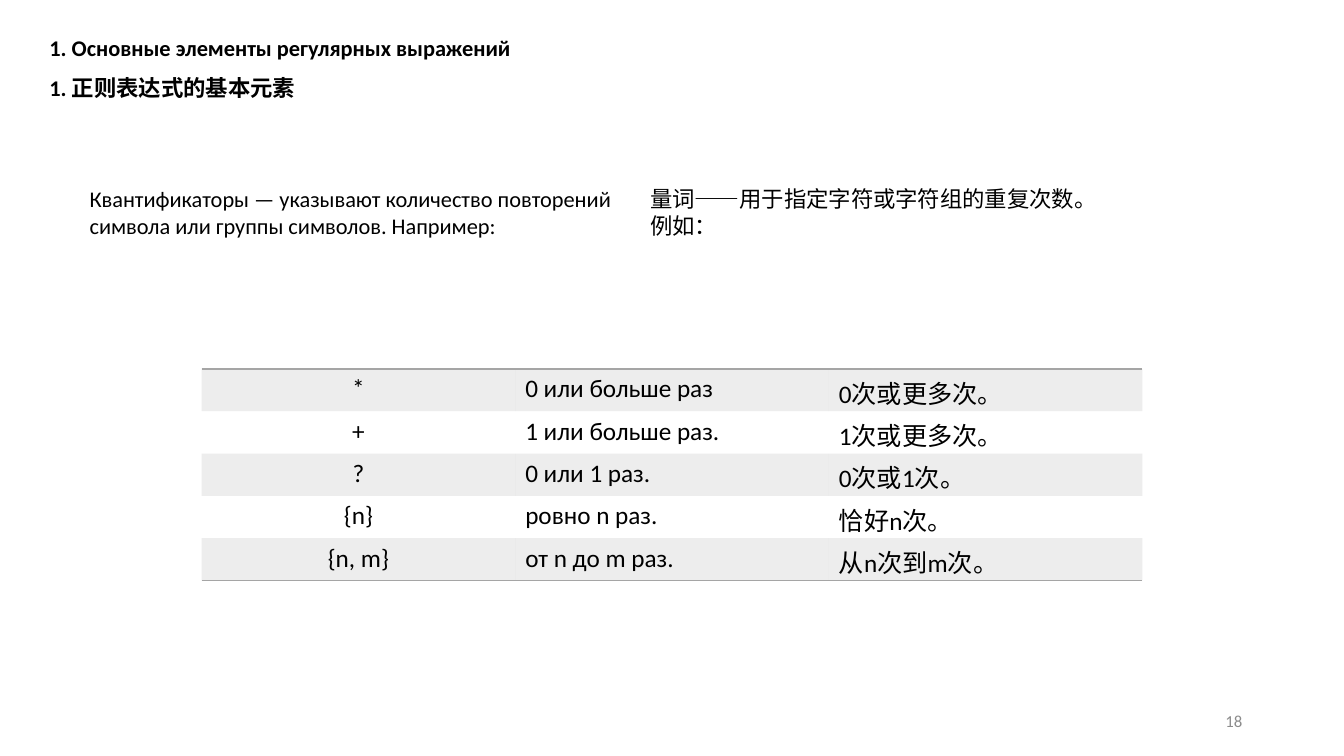
from lxml.etree import SubElement
from pptx import Presentation
from pptx.dml.color import RGBColor
from pptx.enum.text import MSO_ANCHOR, MSO_AUTO_SIZE, PP_ALIGN
from pptx.oxml import parse_xml
from pptx.oxml.ns import nsdecls, qn
from pptx.util import Inches, Pt

HUES = {"ink": "000000", "band": "A5A5A5", "page": "8C8C8C"}
PLAIN = "{2D5ABB26-0587-4C30-8999-92F81FD0307C}"  # table style without grid


class Deck:
    font = "Calibri"

    def __init__(self, wide, high):
        self.prs = Presentation()
        self.prs.slide_width = Inches(wide)
        self.prs.slide_height = Inches(high)
        self.slide = self.prs.slides.add_slide(self.prs.slide_layouts[5])

    def fill_in(self, frame, lines, size, hue="ink", bold=False,
                align=PP_ALIGN.LEFT, after=0):
        for i, line in enumerate(lines):
            para = frame.add_paragraph() if i else frame.paragraphs[0]
            para.alignment = align
            para.space_after = Pt(after)
            run = para.add_run()
            run.text = line
            run.font.name = self.font
            run.font.size = Pt(size)
            run.font.bold = bold
            run.font.color.rgb = RGBColor.from_string(HUES[hue])

    def title(self, box, lines, **style):
        head = self.slide.shapes.title
        head.left, head.top, head.width, head.height = map(Inches, box)
        frame = head.text_frame
        frame.auto_size = MSO_AUTO_SIZE.NONE
        frame.vertical_anchor = MSO_ANCHOR.TOP
        self.fill_in(frame, lines, **style)

    def text(self, box, lines, anchor=MSO_ANCHOR.TOP, **style):
        frame = self.slide.shapes.add_textbox(*map(Inches, box)).text_frame
        frame.word_wrap = True
        frame.vertical_anchor = anchor
        self.fill_in(frame, lines, **style)

    def shade(self, cell):
        cell.fill.solid()
        cell.fill.fore_color.rgb = RGBColor.from_string(HUES["band"])
        tint = cell._tc.tcPr.find(".//" + qn("a:srgbClr"))
        SubElement(tint, qn("a:alpha"), val="20000")

    def rule(self, cell, side):
        line = parse_xml(
            f'<a:{side} {nsdecls("a")} w="12700"><a:solidFill>'
            f'<a:srgbClr val="{HUES["band"]}"/></a:solidFill></a:{side}>')
        cell._tc.get_or_add_tcPr().insert(0, line)

    def table(self, left, top, wide, step, rows, size):
        grid = self.slide.shapes.add_table(
            len(rows), len(rows[0]), Inches(left), Inches(top),
            Inches(wide), Inches(step * len(rows))).table
        grid.first_row = grid.horz_banding = False
        grid._tbl.tblPr.find(qn("a:tableStyleId")).text = PLAIN
        for r, row in enumerate(rows):
            grid.rows[r].height = Inches(step)
            for c, word in enumerate(row):
                cell = grid.cell(r, c)
                align = PP_ALIGN.LEFT if c else PP_ALIGN.CENTER
                self.fill_in(cell.text_frame, [word], size, align=align)
                if r % 2:
                    cell.fill.background()
                else:
                    self.shade(cell)
                if r == 0:
                    self.rule(cell, "lnT")
                if r == len(rows) - 1:
                    self.rule(cell, "lnB")


def main():
    deck = Deck(13.33, 7.5)

    # Heading in both languages
    deck.title((0.39, 0.29, 5.56, 0.83),
               ["1. Основные элементы регулярных выражений",
                "1. 正则表达式的基本元素"],
               size=16, bold=True, after=9.6)

    # Definition of quantifiers
    deck.text((0.79, 1.79, 5.56, 0.91),
              ["Квантификаторы — указывают количество повторений "
               "символа или группы символов. Например:"], size=16)
    deck.text((6.35, 1.79, 6.67, 0.64),
              ["量词——用于指定字符或字符组的重复次数。", "例如："], size=16)

    # Quantifier table
    deck.table(2, 3.66, 9.33, 0.42, [
        ("*", "0 или больше раз", "0次或更多次。"),
        ("+", "1 или больше раз.", "1次或更多次。"),
        ("?", "0 или 1 раз.", "0次或1次。"),
        ("{n}", "ровно n раз.", "恰好n次。"),
        ("{n, m}", "от n до m раз.", "从n次到m次。"),
    ], size=18)

    # Page number
    deck.text((9.42, 6.95, 3, 0.4), ["18"], anchor=MSO_ANCHOR.MIDDLE,
              size=12, hue="page", align=PP_ALIGN.RIGHT)

    deck.prs.save("out.pptx")


if __name__ == "__main__":
    main()
